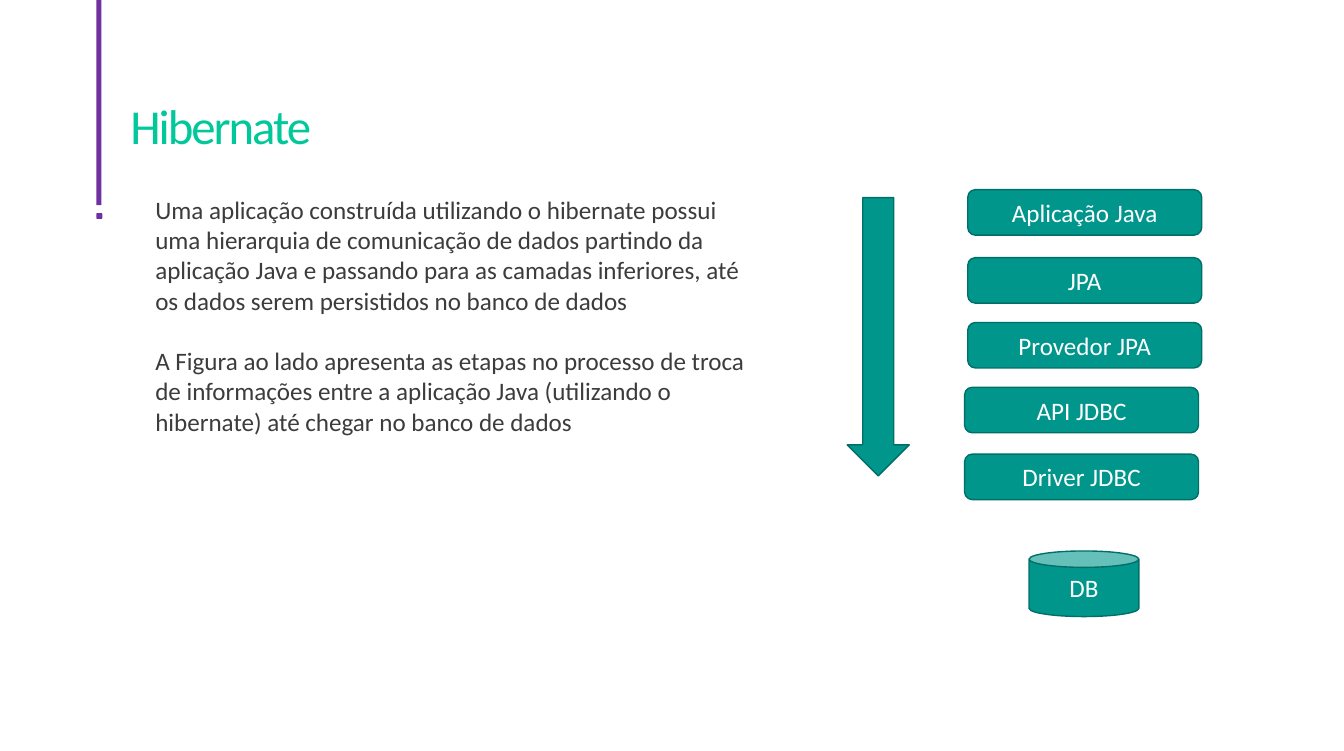
import dataclasses

import pptx
import pptx.dml.color
import pptx.enum.shapes
import pptx.enum.text
import pptx.util

Cm = pptx.util.Cm
Pt = pptx.util.Pt
Preset = pptx.enum.shapes.MSO_SHAPE
Align = pptx.enum.text.PP_ALIGN
Anchor = pptx.enum.text.MSO_ANCHOR


@dataclasses.dataclass(frozen=True)
class Theme:
    """Colours, font and type sizes of the slide."""
    accent: str = "7030A0"
    title: str = "00C89B"
    body: str = "3C3C3C"
    fill: str = "00968C"
    outline: str = "006F68"
    label: str = "FFFFFF"
    font: str = "Calibri"
    title_size: int = 35
    text_size: int = 18


THEME = Theme()

TITLE = "Hibernate"
BODY = (
    "Uma aplicação construída utilizando o hibernate possui uma hierarquia de "
    "comunicação de dados partindo da aplicação Java e passando para as camadas "
    "inferiores, até os dados serem persistidos no banco de dados",
    "A Figura ao lado apresenta as etapas no processo de troca de informações "
    "entre a aplicação Java (utilizando o hibernate) até chegar no banco de dados",
)
LAYERS = (
    ("Aplicação Java", 0.08, 0),
    ("JPA", 0.08, 1.72),
    ("Provedor JPA", 0.08, 3.36),
    ("API JDBC", 0, 5),
    ("Driver JDBC", 0, 6.69),
)


def colour(value):
    """Return an RGB colour from its hexadecimal value."""
    return pptx.dml.color.RGBColor.from_string(value)


def style(paragraph, size, value):
    """Set the font, size and colour of a paragraph."""
    paragraph.font.name = THEME.font
    paragraph.font.size = Pt(size)
    paragraph.font.color.rgb = colour(value)


def add_block(slide, preset, box, fill, outline=None, label=None):
    """Add a filled shape with an optional outline and centred label."""
    shape = slide.shapes.add_shape(preset, *map(Cm, box))
    shape.shadow.inherit = False
    shape.fill.solid()
    shape.fill.fore_color.rgb = colour(fill)
    if outline:
        shape.line.color.rgb = colour(outline)
        shape.line.width = Pt(1)
    else:
        shape.line.fill.background()
    if label:
        shape.text_frame.vertical_anchor = Anchor.MIDDLE
        paragraph = shape.text_frame.paragraphs[0]
        paragraph.text = label
        paragraph.alignment = Align.CENTER
        style(paragraph, THEME.text_size, THEME.label)
    return shape


def add_text_frame(slide, box):
    """Add a wrapping text box and return its text frame."""
    frame = slide.shapes.add_textbox(*map(Cm, box)).text_frame
    frame.word_wrap = True
    return frame


def add_accent(slide, box):
    """Draw the vertical bar and the dot below it."""
    left, top, width, height = box
    dot = 0.15
    add_block(slide, Preset.RECTANGLE, (left, top, 0.13, height - 0.35), THEME.accent)
    add_block(slide, Preset.ROUNDED_RECTANGLE,
              (left, top + height - dot, width, dot), THEME.accent)


def add_title(slide, box):
    """Write the slide title with tight letter spacing."""
    paragraph = add_text_frame(slide, box).paragraphs[0]
    paragraph.text = TITLE
    paragraph.line_spacing = Pt(THEME.title_size)
    style(paragraph, THEME.title_size, THEME.title)
    paragraph.runs[0]._r.get_or_add_rPr().set("spc", "-150")


def add_body(slide, box):
    """Write the explanation, one line apart between paragraphs."""
    frame = add_text_frame(slide, box)
    for index, text in enumerate(BODY):
        paragraph = frame.add_paragraph() if index else frame.paragraphs[0]
        paragraph.text = text
        paragraph.space_before = Pt(22 if index else 0)
        style(paragraph, THEME.text_size, THEME.body)


def add_architecture(slide, box):
    """Draw the down arrow, the stacked layers and the database."""
    left, top, width, height = box
    layer_width, layer_height = 5.92, 1.15
    database_width, database_height = 2.78, 1.66
    stack_left = left + width - layer_width - 0.08
    paint = (THEME.fill, THEME.outline)
    for label, shift, drop in LAYERS:
        add_block(slide, Preset.ROUNDED_RECTANGLE,
                  (stack_left + shift, top + drop, layer_width, layer_height),
                  *paint, label)
    add_block(slide, Preset.CAN,
              (stack_left + 1.63, top + height - database_height,
               database_width, database_height), *paint, "DB")
    add_block(slide, Preset.DOWN_ARROW, (left, top + 0.2, 1.57, 7.04), *paint)


def main():
    """Build and save the slide."""
    presentation = pptx.Presentation()
    presentation.slide_width = Cm(34.01)
    presentation.slide_height = Cm(19)
    slide = presentation.slides.add_slide(presentation.slide_layouts[6])
    add_accent(slide, (2.44, 0, 0.15, 5.54))
    add_title(slide, (3.05, 2.54, 28.07, 2.03))
    add_body(slide, (3.68, 4.8, 15.82, 6.4))
    add_architecture(slide, (21.44, 4.8, 8.97, 10.8))
    presentation.save("out.pptx")


if __name__ == "__main__":
    main()
